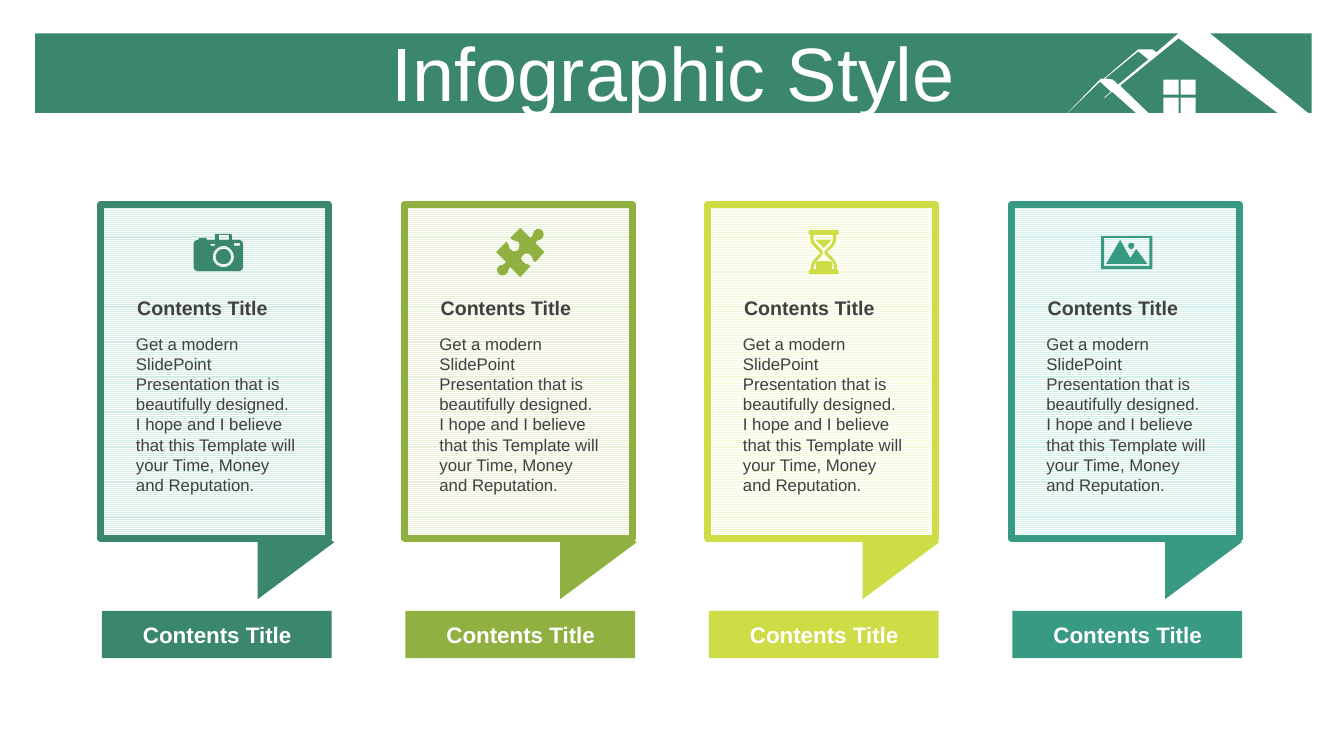
import pptx
import pptx.util
import pptx.dml.color
import pptx.enum.dml
import pptx.enum.shapes
import pptx.enum.text

Inches = pptx.util.Inches
RGB = pptx.dml.color.RGBColor.from_string
SHAPE = pptx.enum.shapes.MSO_SHAPE
ALIGN = pptx.enum.text.PP_ALIGN
FIT = pptx.enum.text.MSO_AUTO_SIZE

COLORS = {
    "green": "3A876B", "olive": "90B141", "lime": "CEDD46", "teal": "399A84",
    "green_tint": "D3ECE3", "olive_tint": "E9F1D8", "lime_tint": "F5F8DA", "teal_tint": "D3EFE9",
    "white": "FFFFFF", "text": "404040",
}
BODY = ("Get a modern SlidePoint Presentation that is beautifully designed. "
        "I hope and I believe that this Template will your Time, Money and Reputation.")

HOUSE = [
    "11.71,0.97 11.86,0.97 11.86,1.12 11.71,1.12",
    "11.54,0.97 11.69,0.97 11.69,1.12 11.54,1.12",
    "11.71,0.79 11.86,0.79 11.86,0.94 11.71,0.94",
    "11.54,0.79 11.69,0.79 11.69,0.94 11.54,0.94",
    "11.29,0.51 10.96,0.78 11.04,0.79 11.09,0.84 11.39,0.59",
    """11.69,0.33 12,0.33 13.01,1.15 12.71,1.15 11.69,0.38 11.11,0.85 11.43,1.16 11.31,1.16
    11.03,0.91 10.96,0.97 10.95,0.97 11.02,0.91 10.91,0.81 10.55,1.16 10.56,1.15 10.92,0.78
    10.95,0.78 11.29,0.49 11.43,0.49 11.47,0.52""",
]
CAMERA = [
    """2.22,2.47 C 2.26,2.47 2.29,2.51 2.29,2.55 C 2.29,2.59 2.26,2.62 2.22,2.62
    C 2.17,2.62 2.14,2.59 2.14,2.55 C 2.14,2.51 2.17,2.47 2.22,2.47""",
    """2.22,2.44 C 2.16,2.44 2.11,2.49 2.11,2.55 C 2.11,2.61 2.16,2.65 2.22,2.65
    C 2.27,2.65 2.32,2.61 2.32,2.55 C 2.32,2.49 2.27,2.44 2.22,2.44""",
    "2.09,2.42 2.09,2.44 2.13,2.44 2.13,2.42",
    "2.32,2.41 2.32,2.44 2.38,2.44 2.38,2.41",
    "2.17,2.33 2.17,2.38 2.27,2.38 2.27,2.33",
    """2.14,2.32 2.29,2.32 2.3,2.33 2.3,2.38 2.37,2.38 C 2.39,2.38 2.41,2.4 2.41,2.42
    2.41,2.65 C 2.41,2.67 2.39,2.69 2.37,2.69 1.96,2.69 C 1.94,2.69 1.92,2.67 1.92,2.65
    1.92,2.42 C 1.92,2.4 1.94,2.38 1.96,2.38 1.97,2.38 1.97,2.36 2.05,2.36 2.05,2.38
    2.13,2.38 2.13,2.33""",
]
PUZZLE = [
    """5.38,2.29 C 5.39,2.3 5.4,2.33 5.38,2.36 C 5.36,2.39 5.33,2.37 5.31,2.41
    5.4,2.5 5.31,2.6 C 5.27,2.58 5.29,2.55 5.26,2.53 C 5.24,2.51 5.21,2.51 5.19,2.53
    C 5.17,2.54 5.16,2.58 5.19,2.6 C 5.22,2.63 5.23,2.61 5.26,2.64 5.16,2.75 5.06,2.65
    C 5.03,2.68 5.05,2.69 5.02,2.72 C 4.99,2.74 4.96,2.73 4.95,2.72
    C 4.93,2.7 4.92,2.67 4.94,2.65 C 4.96,2.62 4.99,2.64 5.02,2.6 4.92,2.5 5.02,2.4
    C 5.06,2.43 5.04,2.46 5.07,2.48 C 5.09,2.5 5.12,2.49 5.14,2.48
    C 5.15,2.46 5.16,2.43 5.14,2.4 C 5.11,2.38 5.1,2.4 5.06,2.36 5.16,2.26 5.26,2.36
    C 5.3,2.33 5.28,2.32 5.3,2.29 C 5.33,2.26 5.36,2.27 5.38,2.29""",
]
HOURGLASS = [
    """8.18,2.59 C 8.2,2.59 8.22,2.59 8.25,2.6 C 8.26,2.62 8.26,2.65 8.25,2.67
    8.1,2.67 C 8.09,2.65 8.09,2.62 8.09,2.6 C 8.13,2.59 8.15,2.59 8.18,2.59""",
    """8.09,2.38 8.24,2.38 C 8.24,2.39 8.23,2.4 8.23,2.4 8.17,2.46 8.11,2.4
    C 8.1,2.4 8.1,2.39 8.09,2.38""",
    """8.07,2.33 C 8.06,2.37 8.07,2.4 8.1,2.43 8.16,2.49 8.16,2.52 8.1,2.59
    C 8.08,2.61 8.07,2.64 8.07,2.67 8.27,2.67 C 8.28,2.64 8.27,2.61 8.24,2.58
    8.18,2.52 8.18,2.49 8.24,2.43 C 8.26,2.4 8.27,2.36 8.26,2.33""",
    """8.04,2.28 8.3,2.28 C 8.31,2.28 8.32,2.29 8.32,2.31 C 8.32,2.32 8.31,2.33 8.3,2.33
    8.29,2.33 C 8.3,2.37 8.29,2.41 8.26,2.45 8.2,2.5 8.26,2.56
    C 8.29,2.59 8.31,2.63 8.3,2.67 C 8.31,2.68 8.32,2.69 8.32,2.7
    C 8.32,2.71 8.31,2.72 8.3,2.72 8.04,2.72 C 8.03,2.72 8.02,2.71 8.02,2.7
    C 8.02,2.69 8.03,2.67 8.04,2.67 C 8.04,2.64 8.05,2.6 8.08,2.57 8.14,2.51 8.08,2.45
    C 8.04,2.42 8.03,2.37 8.04,2.33 C 8.03,2.33 8.02,2.32 8.02,2.31
    C 8.02,2.29 8.03,2.28 8.04,2.28""",
]
PHOTO = [
    """11.22,2.41 C 11.24,2.41 11.25,2.42 11.25,2.44 C 11.25,2.45 11.24,2.47 11.22,2.47
    C 11.2,2.47 11.19,2.45 11.19,2.44 C 11.19,2.42 11.2,2.41 11.22,2.41""",
    "11.11,2.38 11.21,2.56 11.27,2.47 11.38,2.62 10.97,2.62",
    "10.95,2.36 10.95,2.64 11.4,2.64 11.4,2.36",
    "10.92,2.34 11.43,2.34 11.43,2.67 10.92,2.67",
]
CARDS = [("green", CAMERA), ("olive", PUZZLE), ("lime", HOURGLASS), ("teal", PHOTO)]


def write_text(sp, text, size, color="text", bold=False, align=ALIGN.LEFT,
               inset=0.1, fit=FIT.SHAPE_TO_FIT_TEXT):
    tf = sp.text_frame
    tf.word_wrap = True
    tf.auto_size = fit
    tf.margin_left = tf.margin_right = Inches(inset)
    tf.margin_top = tf.margin_bottom = Inches(0.05)
    p = tf.paragraphs[0]
    p.alignment = align
    r = p.add_run()
    r.text = text
    r.font.name = "Arial"
    r.font.size = pptx.util.Pt(size)
    r.font.bold = bold
    r.font.color.rgb = RGB(COLORS[color])
    return p


def draw_outline(shapes, contours, steps=6):
    builder = None
    for contour in contours:
        tokens = iter(contour.split())
        points = []
        for token in tokens:
            if token != "C":
                points.append(tuple(map(float, token.split(","))))
                continue
            curve = [points[-1]] + [tuple(map(float, next(tokens).split(","))) for _ in range(3)]
            for t in (k / steps for k in range(1, steps + 1)):
                weights = ((1 - t) ** 3, 3 * t * (1 - t) ** 2, 3 * t * t * (1 - t), t ** 3)
                points.append(tuple(sum(w * pt[axis] for w, pt in zip(weights, curve)) for axis in (0, 1)))
        points = [(Inches(x), Inches(y)) for x, y in points]
        if builder is None:
            builder = shapes.build_freeform(*points[0], scale=1.0)
        else:
            builder.move_to(*points[0])
        builder.add_line_segments(points[1:], close=True)
    return builder.convert_to_shape()


prs = pptx.Presentation()
prs.slide_width, prs.slide_height = Inches(13.33), Inches(7.5)
s = prs.slides.add_slide(prs.slide_layouts[5])
shapes = s.shapes

bar = shapes.add_shape(SHAPE.RECTANGLE, Inches(0.35), Inches(0.33), Inches(12.66), Inches(0.79))
house = draw_outline(shapes, HOUSE)
solids = [(bar, "green"), (house, "white")]

title = shapes.title
title.left, title.top, title.width, title.height = Inches(0.35), Inches(0.37), Inches(12.66), Inches(0.79)
p = write_text(title, "Infographic Style", 54, color="white", align=ALIGN.CENTER, fit=FIT.NONE)
p.line_spacing = 0.9
p.space_before = pptx.util.Pt(10)
title.text_frame.vertical_anchor = pptx.enum.text.MSO_ANCHOR.MIDDLE
shapes.element.append(title.element)

for i, (color, icon) in enumerate(CARDS):
    x = 3.01 * i
    tail = shapes.add_shape(SHAPE.ISOSCELES_TRIANGLE, Inches(2.37 + 3 * i), Inches(5), Inches(1.13), Inches(0.76))
    tail.rotation = 90

    card = shapes.add_shape(SHAPE.RECTANGLE, Inches(1 + x), Inches(2.03), Inches(2.26), Inches(3.31))
    card.shadow.inherit = False
    card.fill.patterned()
    card.fill.pattern = pptx.enum.dml.MSO_PATTERN.LIGHT_HORIZONTAL
    card.fill.fore_color.rgb = RGB(COLORS[color + "_tint"])
    card.fill.back_color.rgb = RGB(COLORS["white"])
    card.line.color.rgb = RGB(COLORS[color])
    card.line.width = pptx.util.Pt(5)

    body = shapes.add_textbox(Inches(1.25 + x), Inches(3.26), Inches(1.79), Inches(1.72))
    write_text(body, BODY, 12)
    heading = shapes.add_textbox(Inches(1.24 + x), Inches(2.89), Inches(1.79), Inches(0.34))
    write_text(heading, "Contents Title", 14, bold=True, inset=0.12)

    label = shapes.add_shape(SHAPE.RECTANGLE, Inches(1.01 + x), Inches(6.06), Inches(2.28), Inches(0.47))
    caption = shapes.add_textbox(Inches(1.17 + x), Inches(6.11), Inches(1.97), Inches(0.37))
    write_text(caption, "Contents Title", 16, color="white", bold=True, align=ALIGN.CENTER, inset=0.12)

    solids += [(tail, color), (label, color), (draw_outline(shapes, icon), color)]

for sp, color in solids:
    sp.shadow.inherit = False
    sp.fill.solid()
    sp.fill.fore_color.rgb = RGB(COLORS[color])
    sp.line.fill.background()

prs.save("out.pptx")
